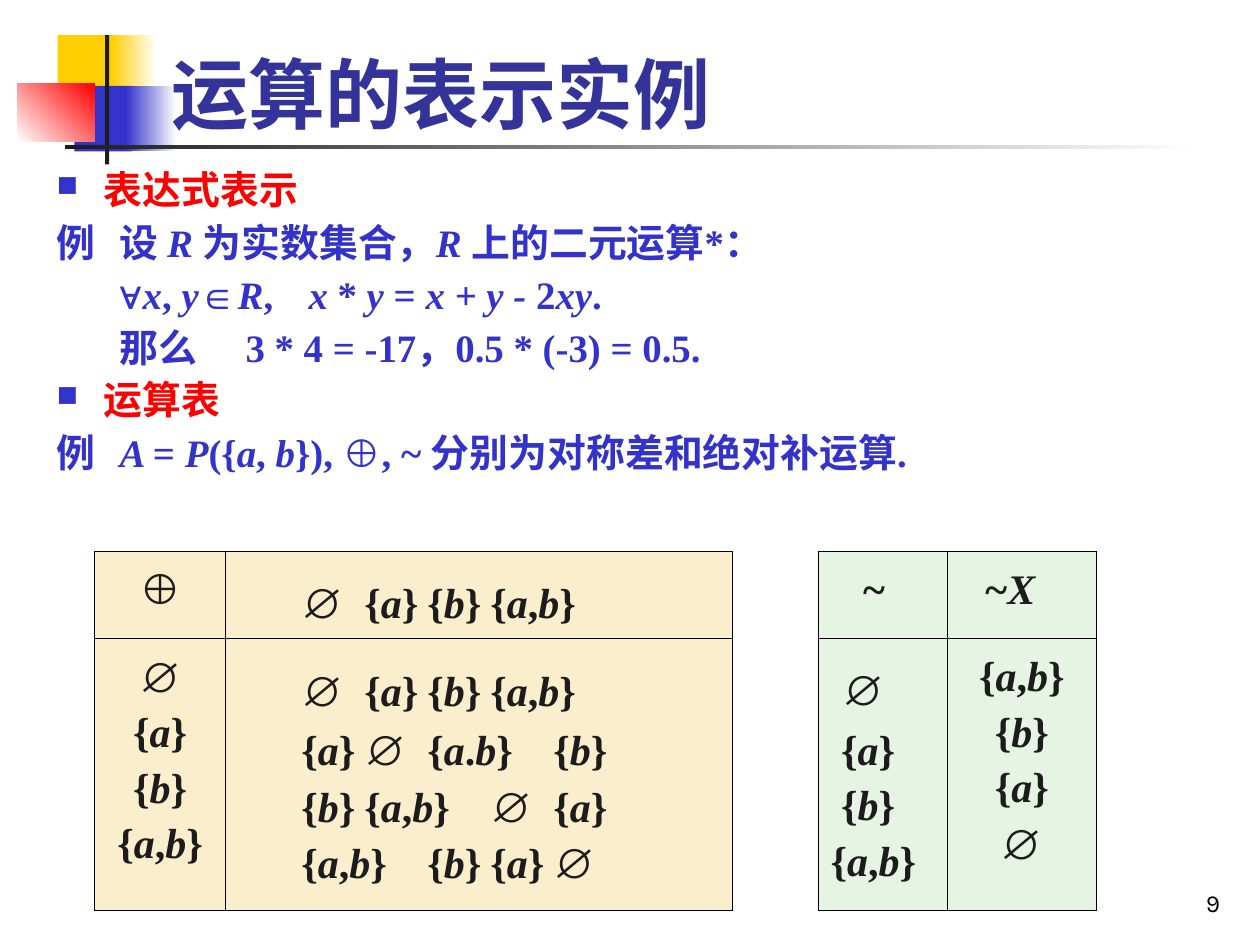
import pptx
import pptx.dml.color
import pptx.enum.shapes
import pptx.enum.text
import pptx.oxml
import pptx.oxml.ns
import pptx.util
from lxml import etree

Pt = pptx.util.Pt
RGB = pptx.dml.color.RGBColor
ALIGN = pptx.enum.text.PP_ALIGN
ANCHOR = pptx.enum.text.MSO_ANCHOR
qn = pptx.oxml.ns.qn

YELLOW, RED_FADE, BLUE = RGB(0xFF, 0xCF, 0x01), RGB(0xFF, 0, 0), RGB(0x33, 0x33, 0xCC)
WHITE, INK, BLACK = RGB(0xFF, 0xFF, 0xFF), RGB(0x1C, 0x1C, 0x1C), RGB(0, 0, 0)
NAVY, RED = RGB(0x33, 0x33, 0x99), RGB(0xFF, 0, 0)
CREAM, MINT = RGB(0xFB, 0xEE, 0xCD), RGB(0xE6, 0xF5, 0xE3)

SERIF, SANS, TITLE_FONT, CHINESE = "Times New Roman", "Arial", "Karla", "Noto Sans CJK SC"
SYMBOLS = "∀∅⊕"

# left, top, width, height, start colour, end colour of a fade, fade angle
DECORATION = [
    (33, 20, 34.5, 37.5, YELLOW, None, 0),
    (63.5, 20, 26, 37.5, YELLOW, WHITE, 0),
    (42.5, 49, 33, 37.5, BLUE, None, 0),
    (72, 49, 28.8, 37.5, BLUE, WHITE, 0),
    (10, 48, 44, 33, WHITE, RED_FADE, 45),
    (60, 20, 2.4, 74, INK, None, 0),
    (37, 82.8, 648, 2.2, INK, WHITE, 0),
]

TITLE = "运算的表示实例"

# Text between underscores is italic. Each line: text, is a heading, tab stops
BODY = [
    ("表达式表示", True, []),
    ("例\t设 _R _为实数集合，_R _上的二元运算*：", False, [37]),
    ("\t∀_x_, _y_∈_R_,\t_x _* _y _= _x + y - _2_xy_.", False, [84, 182]),
    ("\t那么\t3 * 4 = -17，0.5 * (-3) = 0.5.", False, [45, 110]),
    ("运算表", True, []),
    ("例\t_A _= _P_({_a_, _b_}), ⊕, ~ 分别为对称差和绝对补运算.", False, [48]),
]

COLUMN_WIDTHS = [75, 289.5, 49, 74, 85]
ROW_HEIGHTS = [49, 145.5]
EMPTY, A, B, AB = "∅", "{_a_}", "{_b_}", "{_a_,_b_}"
GAP_COLUMN = 2

# (row, column): fill, extra top space, lines; a line is the entries and their
# centre stops, one left indent, or None for a centred entry
CELLS = {
    (0, 0): (CREAM, 0, [([EMPTY.replace("∅", "⊕")], None)]),
    (0, 1): (CREAM, 8, [([EMPTY, A, B, AB], [17, 81, 148, 218])]),
    (0, 3): (MINT, 0, [(["~"], 18.5)]),
    (0, 4): (MINT, 0, [(["~_X_"], 14.5)]),
    (1, 0): (CREAM, 0, [([entry], None) for entry in (EMPTY, A, B, AB)]),
    (1, 1): (CREAM, 8, [
        ([EMPTY, A, B, AB], [20, 83, 150, 214]),
        ([A, EMPTY, "{_a_._b_}", B], [24, 81, 154, 218]),
        ([B, AB, EMPTY, A], [24, 88, 154, 218]),
        ([AB, B, A, EMPTY], [27, 85, 151, 215]),
    ]),
    (1, 3): (MINT, 8, [([EMPTY], 7), ([A], 6), ([B], 6), ([AB], 0)]),
    (1, 4): (MINT, 0, [([entry], None) for entry in (AB, B, A, EMPTY)]),
}


def set_font(span, size, colour, latin, bold=True, chinese=CHINESE):
    font = span.font
    font.size, font.bold, font.name = Pt(size), bold, latin
    font.color.rgb = colour
    face = etree.SubElement(span._r.get_or_add_rPr(), qn("a:ea"))
    face.set("typeface", chinese)


def write_marked(para, text, size, colour):
    """Write text with _italic_ parts, giving each math symbol its own font."""
    for number, part in enumerate(text.split("_")):
        for symbol in SYMBOLS:
            part = part.replace(symbol, f"|{symbol}|")
        for piece in filter(None, part.split("|")):
            span = para.add_run()
            span.text = piece
            is_symbol = piece in SYMBOLS
            set_font(span, size, colour, SANS if is_symbol else SERIF,
                     chinese=SANS if is_symbol else CHINESE)
            span.font.italic = number % 2 == 1


def set_layout(para, left=0, first=0, stops=(), stop_kind="l", bullet=False):
    """Set indents, bullet and tab stops."""
    props = para._p.get_or_add_pPr()
    props.set("marL", str(Pt(left)))
    props.set("indent", str(Pt(first)))
    if bullet:
        colour = etree.SubElement(props, qn("a:buClr"))
        etree.SubElement(colour, qn("a:srgbClr")).set("val", str(BLUE))
        etree.SubElement(props, qn("a:buSzPct")).set("val", "75000")
        etree.SubElement(props, qn("a:buChar")).set("char", "■")
    else:
        etree.SubElement(props, qn("a:buNone"))
    if stops:
        tabs = etree.SubElement(props, qn("a:tabLst"))
        for stop in stops:
            tab = etree.SubElement(tabs, qn("a:tab"))
            tab.set("pos", str(Pt(stop)))
            tab.set("algn", stop_kind)


def paragraphs(frame, count):
    return [frame.paragraphs[0]] + [frame.add_paragraph() for _ in range(count - 1)]


def set_borders(cell, sides):
    """Draw thin black lines on the given sides and none on the others."""
    props = cell._tc.get_or_add_tcPr()
    for side in "LRTB":
        line = etree.SubElement(props, qn(f"a:ln{side}"))
        line.set("w", str(Pt(0.45)))
        if side in sides:
            fill = etree.SubElement(line, qn("a:solidFill"))
            etree.SubElement(fill, qn("a:srgbClr")).set("val", str(BLACK))
        else:
            etree.SubElement(line, qn("a:noFill"))


def add_decoration(page):
    for left, top, width, height, start, end, angle in DECORATION:
        block = page.shapes.add_shape(pptx.enum.shapes.MSO_SHAPE.RECTANGLE,
                                      Pt(left), Pt(top), Pt(width), Pt(height))
        block.shadow.inherit = False
        block.line.fill.background()
        if end is None:
            block.fill.solid()
            block.fill.fore_color.rgb = start
        else:
            block.fill.gradient()
            block.fill.gradient_angle = angle
            for stop, colour in zip(block.fill.gradient_stops, (start, end)):
                stop.color.rgb = colour


def add_title(page):
    title = page.shapes.title
    page.shapes._spTree.append(title._element)  # in front of the decoration
    title.left, title.top, title.width, title.height = Pt(90.7), Pt(5.8), Pt(613.4), Pt(77)
    title.text_frame.vertical_anchor = ANCHOR.BOTTOM
    para = title.text_frame.paragraphs[0]
    para.alignment = ALIGN.LEFT
    span = para.add_run()
    span.text = TITLE
    set_font(span, 44, NAVY, TITLE_FONT)


def add_body(page):
    box = page.shapes.add_textbox(Pt(25.2), Pt(94.3), Pt(669), Pt(204.5))
    box.text_frame.word_wrap = True
    for para, (text, heading, stops) in zip(paragraphs(box.text_frame, len(BODY)), BODY):
        para.line_spacing, para.space_before = 0.9, Pt(6)
        indent = 27 if heading else 0
        set_layout(para, indent, -indent, stops, bullet=heading)
        write_marked(para, text, 22.2, RED if heading else BLUE)


def add_tables(page):
    table = page.shapes.add_table(len(ROW_HEIGHTS), len(COLUMN_WIDTHS), Pt(54), Pt(315),
                                  Pt(sum(COLUMN_WIDTHS)), Pt(sum(ROW_HEIGHTS))).table
    table.first_row = table.horz_banding = False
    for column, width in zip(table.columns, COLUMN_WIDTHS):
        column.width = Pt(width)
    for row, height in zip(table.rows, ROW_HEIGHTS):
        row.height = Pt(height)
    table.cell(0, GAP_COLUMN).merge(table.cell(1, GAP_COLUMN))
    for row in range(len(ROW_HEIGHTS)):
        gap = table.cell(row, GAP_COLUMN)
        set_borders(gap, "LR")
        gap.fill.background()
    for (row, column), (fill, extra, lines) in CELLS.items():
        cell = table.cell(row, column)
        set_borders(cell, "LRTB")
        cell.fill.solid()
        cell.fill.fore_color.rgb = fill
        cell.margin_top = Pt(3.6 + extra)
        for number, para in enumerate(paragraphs(cell.text_frame, len(lines))):
            entries, place = lines[number]
            para.line_spacing = 1.2
            if extra and number == 1:
                para.space_before = Pt(2)
            if isinstance(place, list):
                set_layout(para, stops=place, stop_kind="ctr")
                text = "".join("\t" + entry for entry in entries)
            else:
                set_layout(para, left=place or 0)
                para.alignment = ALIGN.CENTER if place is None else ALIGN.LEFT
                text = entries[0]
            write_marked(para, text, 24, INK)


def add_page_number(page):
    box = page.shapes.add_textbox(Pt(554.4), Pt(491.8), Pt(149.8), Pt(36))
    box.text_frame.word_wrap = True
    box.text_frame.vertical_anchor = ANCHOR.BOTTOM
    para = box.text_frame.paragraphs[0]
    para.alignment = ALIGN.RIGHT
    span = para.add_run()
    span.text = "9"
    set_font(span, 14, BLACK, TITLE_FONT, bold=False)


deck = pptx.Presentation()
deck.slide_width, deck.slide_height = Pt(720), Pt(540)
page = deck.slides.add_slide(deck.slide_layouts[5])
add_decoration(page)
add_page_number(page)
add_title(page)
add_body(page)
add_tables(page)
deck.save("out.pptx")
